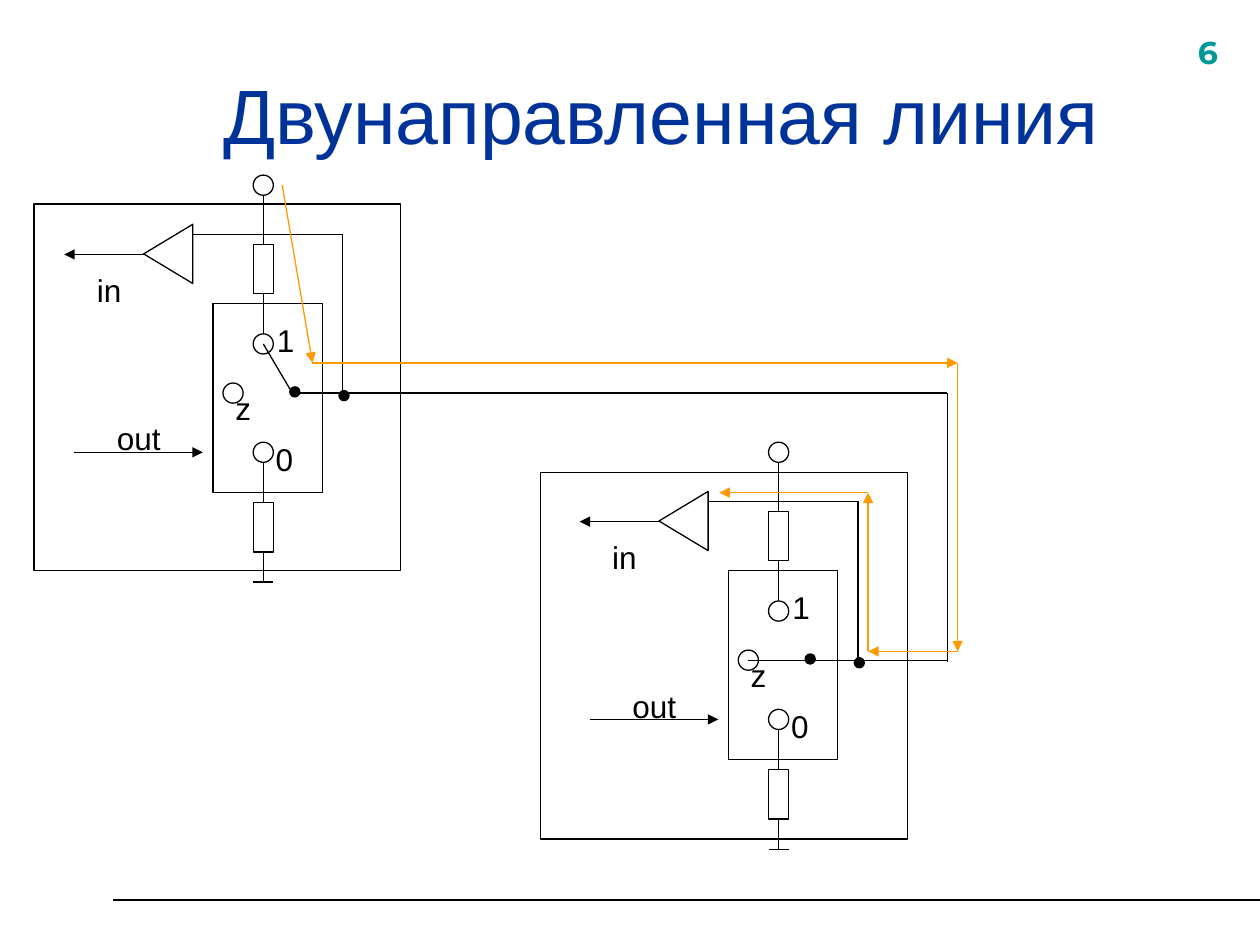
from typing import NamedTuple

from lxml.etree import SubElement
from pptx import Presentation
from pptx.dml.color import RGBColor
from pptx.enum.shapes import MSO_CONNECTOR as CONN, MSO_SHAPE as SHAPE
from pptx.enum.text import MSO_ANCHOR as ANCHOR, MSO_AUTO_SIZE as AUTO, PP_ALIGN as ALIGN
from pptx.oxml.ns import qn
from pptx.util import Inches, Pt

COLORS = {"black": "000000", "white": "FFFFFF", "title": "003399",
          "number": "009999", "signal": "FF9900"}
RING, DOT, FRAME = 0.16, 0.08, 2.91


class Box(NamedTuple):
    x: float
    y: float
    w: float
    h: float


class Wire(NamedTuple):
    x1: float
    y1: float
    x2: float
    y2: float
    arrow: bool = False


class Label(NamedTuple):
    text: str
    x: float
    y: float
    w: float = 0.34


class Port(NamedTuple):
    dx: float
    dy: float
    frame: Box
    switch: Wire


RINGS = [(2.01, 1.39), (2.01, 2.65), (2.01, 3.51), (1.77, 3.04)]
DOTS = [(2.3, 3.07), (2.69, 3.1)]
RESISTORS = [Box(2.01, y, 0.16, 0.39) for y in (1.94, 3.99)]
PORT_WIRES = [
    Wire(2.32, 3.12, 3.43, 3.12),
    Wire(2.09, 3.59, 2.09, 4.62),
    Wire(2.01, 4.62, 2.17, 4.62),
    Wire(2.09, 2.73, 2.09, 1.47),
    Wire(1.14, 2.02, 0.51, 2.02, True),
    Wire(2.72, 3.12, 2.72, 1.86),
    Wire(2.72, 1.86, 1.53, 1.86),
    Wire(0.59, 3.59, 1.61, 3.59, True),
]
LABELS = [Label("1", 2.1, 2.5), Label("0", 2.09, 3.44), Label("z", 1.77, 3.04),
          Label("out", 0.83, 3.28, 0.71), Label("in", 0.67, 2.1, 0.47)]
PORTS = [
    Port(0, 0, Box(0.27, 1.62, FRAME, FRAME), Wire(2.32, 3.12, 2.09, 2.73)),
    Port(4.09, 2.12, Box(4.29, 3.75, FRAME, FRAME), Wire(2.32, 3.12, 1.85, 3.12)),
]
BUS = [(3.43, 3.12), (7.52, 3.12), (7.52, 5.25)]
SIGNAL = [(2.24, 1.47), (2.48, 2.88), (7.6, 2.88), (7.6, 5.17),
          (6.89, 5.17), (6.89, 3.91), (5.71, 3.91)]


def rgb(name: str) -> RGBColor:
    return RGBColor.from_string(COLORS[name])


def add_text(s, text: str, box: Box, *, size: float = 18, font: str = "Arial",
             color: str = "black", bold: bool = False, align=ALIGN.LEFT,
             anchor=ANCHOR.TOP, auto=AUTO.SHAPE_TO_FIT_TEXT) -> None:
    tf = s.shapes.add_textbox(*map(Inches, box)).text_frame
    tf.word_wrap, tf.auto_size, tf.vertical_anchor = True, auto, anchor
    p = tf.paragraphs[0]
    p.alignment = align
    r = p.add_run()
    r.text = text
    r.font.size, r.font.name, r.font.bold = Pt(size), font, bold
    r.font.color.rgb = rgb(color)


def add_shape(s, kind, box: Box, fill: str = "", rotation: float = 0) -> None:
    sp = s.shapes.add_shape(kind, *map(Inches, box))
    sp.shadow.inherit = False
    sp.rotation = rotation
    sp.line.color.rgb, sp.line.width = rgb("black"), Pt(0.75)
    if fill:
        sp.fill.solid()
        sp.fill.fore_color.rgb = rgb(fill)
    else:
        sp.fill.background()


def add_wire(s, wire: Wire, color: str = "black", width: float = 0.75) -> None:
    c = s.shapes.add_connector(CONN.STRAIGHT, *map(Inches, wire[:4]))
    c.line.color.rgb, c.line.width = rgb(color), Pt(width)
    if wire.arrow:
        SubElement(c.line._get_or_add_ln(), qn("a:tailEnd"), type="triangle")
    SubElement(c._element.spPr, qn("a:effectLst"))


def add_route(s, points: list, color: str, arrow: bool) -> None:
    for start, end in zip(points, points[1:]):
        add_wire(s, Wire(*start, *end, arrow), color)


def add_port(s, port: Port) -> None:
    dx, dy = port.dx, port.dy

    def moved(box: Box) -> Box:
        return box._replace(x=box.x + dx, y=box.y + dy)

    add_shape(s, SHAPE.ISOSCELES_TRIANGLE, moved(Box(1.1, 1.82, 0.47, 0.39)), rotation=270)
    add_shape(s, SHAPE.RECTANGLE, moved(Box(1.69, 2.41, 0.87, 1.5)))
    wires = [w._replace(x1=w.x1 + dx, y1=w.y1 + dy, x2=w.x2 + dx, y2=w.y2 + dy)
             for w in (*PORT_WIRES, port.switch)]
    for wire in wires[:-1]:
        add_wire(s, wire)
    for x, y in RINGS:
        add_shape(s, SHAPE.OVAL, moved(Box(x, y, RING, RING)), "white")
    for x, y in DOTS:
        add_shape(s, SHAPE.OVAL, moved(Box(x, y, DOT, DOT)), "black")
    add_wire(s, wires[-1])
    for box in RESISTORS:
        add_shape(s, SHAPE.RECTANGLE, moved(box), "white")
    for label in LABELS:
        add_text(s, label.text, moved(Box(label.x, label.y, label.w, 0.4)))
    add_shape(s, SHAPE.RECTANGLE, port.frame)


def main() -> None:
    """Build the slide showing two ports joined by a bidirectional line."""
    prs = Presentation()
    prs.slide_width, prs.slide_height = Inches(10), Inches(7.5)
    s = prs.slides.add_slide(prs.slide_layouts[6])
    add_wire(s, Wire(0.9, 7.14, 10, 7.14), width=1.25)
    add_text(s, "6", Box(9.41, 0.21, 0.63, 0.44), font="Montserrat",
             color="number", bold=True)
    add_text(s, "Двунаправленная линия", Box(0.75, 0.28, 9, 1.25), size=44,
             color="title", align=ALIGN.CENTER, anchor=ANCHOR.MIDDLE, auto=AUTO.NONE)
    for port in PORTS:
        add_port(s, port)
    add_route(s, BUS, "black", False)
    add_route(s, SIGNAL, "signal", True)
    prs.save("out.pptx")


if __name__ == "__main__":
    main()
